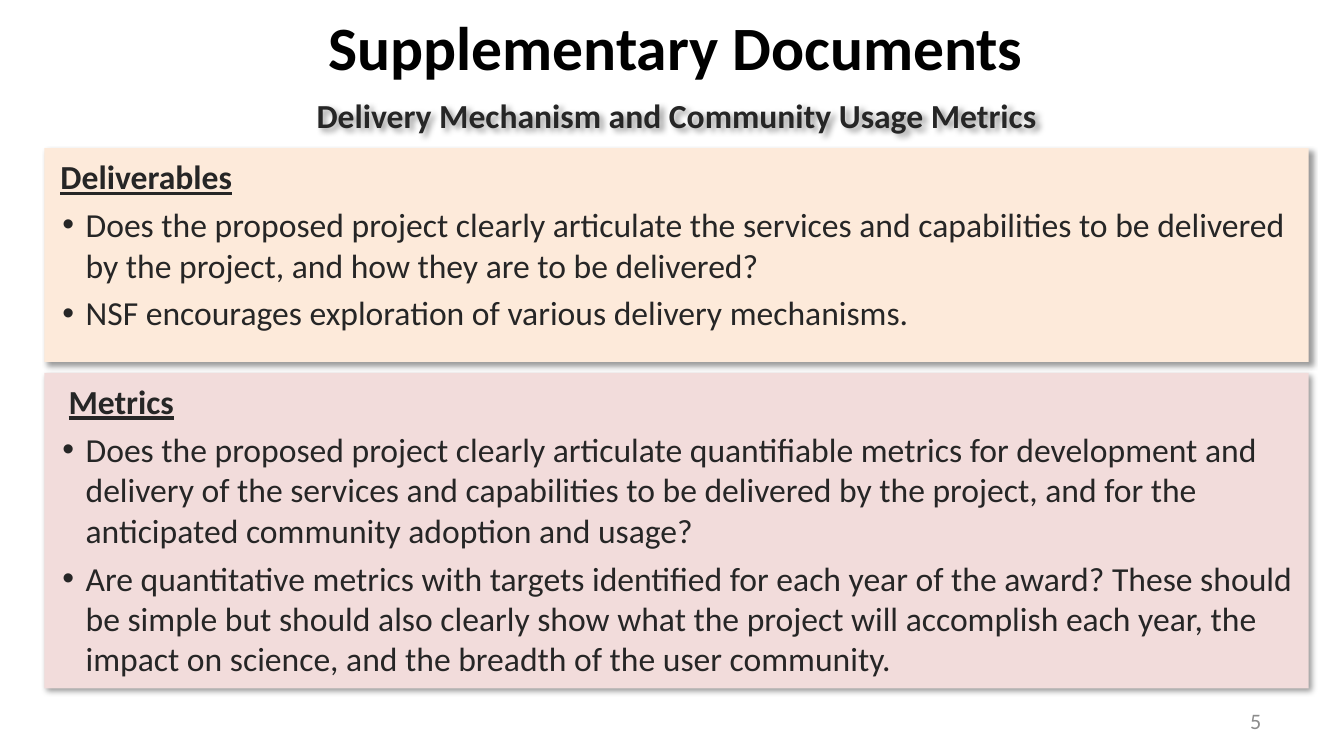
from lxml import etree
from pptx import Presentation
from pptx.dml.color import RGBColor
from pptx.enum import shapes, text
from pptx.oxml import ns
from pptx.util import Emu, Inches, Pt

COLORS = {
    "title": "000000",
    "body": "262626",
    "number": "8C8C8C",
    "shadow": "000000",
    "deliverables": "FDEADA",
    "metrics": "F2DCDB",
}
FONT = "Calibri"
LEFT, WIDTH = 0.44, 12.54

DELIVERABLES = [
    "Does the proposed project clearly articulate the services and capabilities "
    "to be delivered by the project, and how they are to be delivered?",
    "NSF encourages exploration of various delivery mechanisms.",
]
METRICS = [
    "Does the proposed project clearly articulate quantifiable metrics for development "
    "and delivery of the services and capabilities to be delivered by the project, "
    "and for the anticipated community adoption and usage?",
    "Are quantitative metrics with targets identified for each year of the award? "
    "These should be simple but should also clearly show what the project will "
    "accomplish each year, the impact on science, and the breadth of the user community.",
]


def place(shape, left, top, width, height):
    shape.left, shape.top = Inches(left), Inches(top)
    shape.width, shape.height = Inches(width), Inches(height)


def set_frame(shape, anchor, inset_x=0.16, inset_y=0.08):
    frame = shape.text_frame
    frame.word_wrap = True
    frame.auto_size = text.MSO_AUTO_SIZE.NONE
    frame.vertical_anchor = anchor
    frame.margin_left = frame.margin_right = Inches(inset_x)
    frame.margin_top = frame.margin_bottom = Inches(inset_y)
    return frame


def set_bullet(paragraph, mark=None, margin=0, indent=0):
    props = paragraph._p.get_or_add_pPr()
    props.set("marL", str(Inches(margin)))
    props.set("indent", str(Inches(indent)))
    if mark:
        etree.SubElement(props, ns.qn("a:buFont"), typeface="Arial")
        etree.SubElement(props, ns.qn("a:buChar"), char=mark)
    else:
        etree.SubElement(props, ns.qn("a:buNone"))


def write(paragraph, words, color, size=24, bold=False, underline=False,
          align=text.PP_ALIGN.LEFT, space=0):
    paragraph.text = words
    paragraph.alignment = align
    paragraph.space_before = Pt(space)
    font = paragraph.font
    font.name, font.size = FONT, Pt(size)
    font.bold, font.underline = bold, underline
    font.color.rgb = RGBColor.from_string(COLORS[color])


def cast_shadow(shape):
    shape.shadow.inherit = False
    effects = shape._element.spPr.find(ns.qn("a:effectLst"))
    outer = etree.SubElement(effects, ns.qn("a:outerShdw"), blurRad=str(Pt(4)),
                             dist=str(Pt(3)), dir=str(45 * 60000),
                             algn="tl", rotWithShape="0")
    tint = etree.SubElement(outer, ns.qn("a:srgbClr"), val=COLORS["shadow"])
    etree.SubElement(tint, ns.qn("a:alpha"), val="40000")


def add_panel(slide, top, height, color, heading, questions, margin=0, indent=0):
    panel = slide.shapes.add_shape(shapes.MSO_SHAPE.RECTANGLE, Emu(0), Emu(0), Emu(0), Emu(0))
    place(panel, LEFT, top, WIDTH, height)
    panel.fill.solid()
    panel.fill.fore_color.rgb = RGBColor.from_string(COLORS[color])
    panel.line.fill.background()
    cast_shadow(panel)
    frame = set_frame(panel, text.MSO_ANCHOR.TOP)
    set_bullet(frame.paragraphs[0], margin=margin, indent=indent)
    write(frame.paragraphs[0], heading, "body", bold=True, underline=True)
    for question in questions:
        item = frame.add_paragraph()
        set_bullet(item, "•", 0.25, -0.23)
        write(item, question, "body", space=5.4)


def add_slide_number(slide, number):
    box = slide.shapes.add_textbox(Inches(9.56), Inches(6.95), Inches(3.11), Inches(0.4))
    frame = set_frame(box, text.MSO_ANCHOR.MIDDLE)
    write(frame.paragraphs[0], number, "number", size=15.8, align=text.PP_ALIGN.RIGHT)


def main():
    deck = Presentation()
    deck.slide_width, deck.slide_height = Inches(13.33), Inches(7.5)
    slide = deck.slides.add_slide(deck.slide_layouts[1])

    title = slide.shapes.title
    place(title, 1.83, -0.13, 9.75, 1.17)
    frame = set_frame(title, text.MSO_ANCHOR.MIDDLE, 0.1, 0.05)
    write(frame.paragraphs[0], "Supplementary Documents", "title", size=44, bold=True,
          align=text.PP_ALIGN.CENTER)

    subtitle = slide.placeholders[1]
    place(subtitle, LEFT, 0.86, WIDTH, 0.74)
    cast_shadow(subtitle)
    frame = set_frame(subtitle, text.MSO_ANCHOR.TOP)
    set_bullet(frame.paragraphs[0])
    write(frame.paragraphs[0], "Delivery Mechanism and Community Usage Metrics", "body",
          bold=True, align=text.PP_ALIGN.CENTER)

    add_slide_number(slide, "5")
    add_panel(slide, 3.7, 3.13, "metrics", "Metrics", METRICS, 0.38, -0.3)
    add_panel(slide, 1.47, 2.12, "deliverables", "Deliverables", DELIVERABLES)
    deck.save("out.pptx")


if __name__ == "__main__":
    main()
